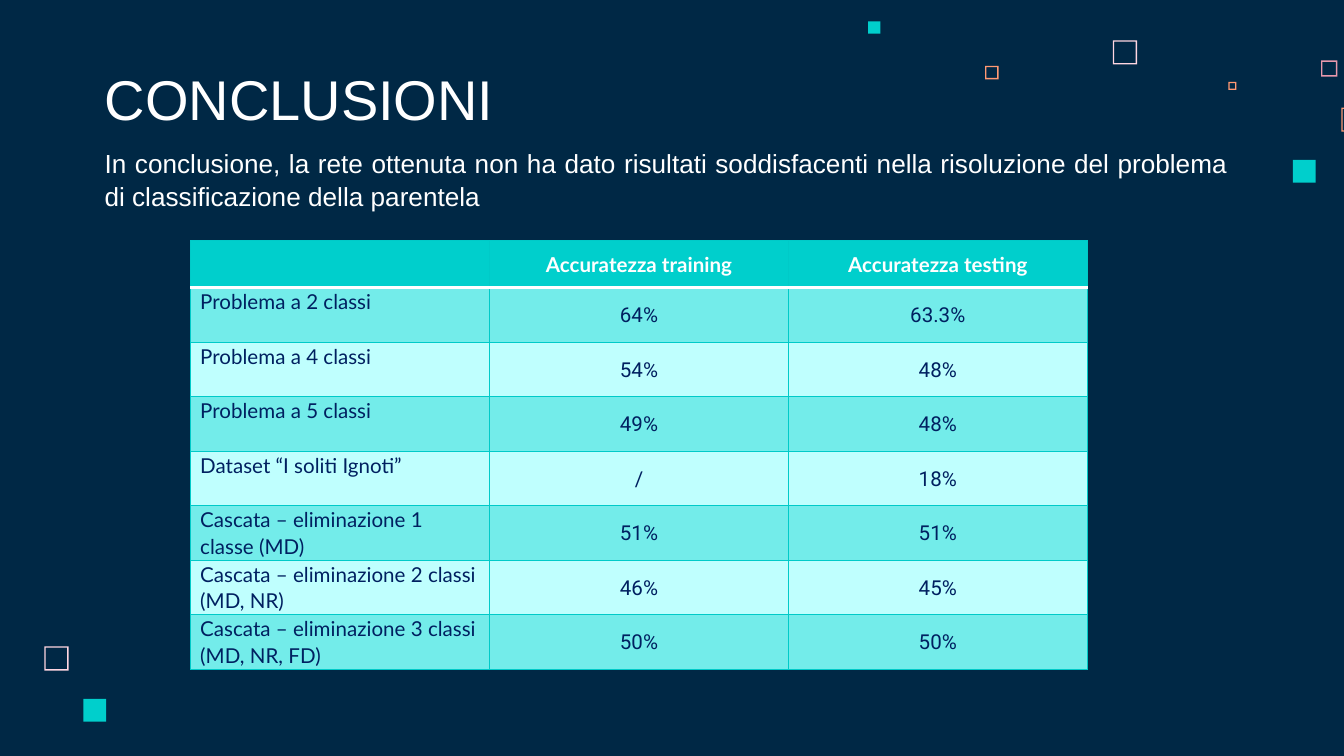
from lxml import etree
from pptx import Presentation
from pptx.dml.color import RGBColor
from pptx.enum import shapes, text
from pptx.oxml import ns
from pptx.util import Inches, Pt

NAVY = RGBColor(0x00, 0x28, 0x45)
INK = RGBColor(0x00, 0x20, 0x60)
WHITE = RGBColor(0xFF, 0xFF, 0xFF)
TEAL = RGBColor(0x00, 0xCF, 0xCC)
BORDER = RGBColor(0x00, 0xCA, 0xC8)
DARK_BAND = RGBColor(0x73, 0xEC, 0xEA)
LIGHT_BAND = RGBColor(0xBF, 0xFF, 0xFE)
PINK = RGBColor(0xFF, 0xD6, 0xE1)
ROSE = RGBColor(0xE8, 0x98, 0xAC)
ORANGE = RGBColor(0xFF, 0x99, 0x73)

# Content
TITLE = "CONCLUSIONI"
SUMMARY = ("In conclusione, la rete ottenuta non ha dato risultati soddisfacenti "
           "nella risoluzione del problema di classificazione della parentela")
RESULTS = [
    ("", "Accuratezza training", "Accuratezza testing"),
    ("Problema a 2 classi", "64%", "63.3%"),
    ("Problema a 4 classi", "54%", "48%"),
    ("Problema a 5 classi", "49%", "48%"),
    ("Dataset “I soliti Ignoti”", "/", "18%"),
    ("Cascata – eliminazione 1 classe (MD)", "51%", "51%"),
    ("Cascata – eliminazione 2 classi (MD, NR)", "46%", "45%"),
    ("Cascata – eliminazione 3 classi (MD, NR, FD)", "50%", "50%"),
]
# Decorative squares: left, top, side, wall thickness (0 = solid), colour
SQUARES = [
    (8.28, 0.30, 0.18, 0.01, PINK),
    (9.83, 0.45, 0.12, 0.01, ROSE),
    (9.14, 0.61, 0.06, 0.01, ORANGE),
    (9.98, 0.80, 0.18, 0.01, ORANGE),
    (9.62, 1.19, 0.17, 0, TEAL),
    (7.33, 0.49, 0.10, 0.01, ORANGE),
    (6.46, 0.16, 0.09, 0, TEAL),
    (0.33, 4.81, 0.18, 0.01, PINK),
    (0.62, 5.20, 0.17, 0, TEAL),
]
TABLE_WIDTH, TABLE_HEIGHT, HEADER_HEIGHT = 6.67, 3.19, 0.35


def style(paragraph, font, size, color, bold=False):
    paragraph.font.name = font
    paragraph.font.size = Pt(size)
    paragraph.font.color.rgb = color
    paragraph.font.bold = bold


def space(paragraph):
    paragraph.line_spacing = 1.07
    paragraph.space_after = Pt(8)


def add_border(cell, side, color, width):
    line = etree.SubElement(cell._tc.get_or_add_tcPr(), ns.qn(f"a:ln{side}"), w=str(Pt(width)))
    fill = etree.SubElement(line, ns.qn("a:solidFill"))
    etree.SubElement(fill, ns.qn("a:srgbClr"), val=str(color))


def set_insets(frame, inset):
    frame.margin_left = frame.margin_right = Inches(inset)
    frame.margin_top = frame.margin_bottom = Inches(inset)
    frame.word_wrap = True


# Widescreen 16:9 slide
prs = Presentation()
prs.slide_width, prs.slide_height = Inches(10), Inches(10 * 9 / 16)
slide = prs.slides.add_slide(prs.slide_layouts[5])
slide.background.fill.solid()
slide.background.fill.fore_color.rgb = NAVY

# Decorative squares
for left, top, side, wall, color in SQUARES:
    kind = shapes.MSO_SHAPE.FRAME if wall else shapes.MSO_SHAPE.RECTANGLE
    square = slide.shapes.add_shape(kind, Inches(left), Inches(top), Inches(side), Inches(side))
    if wall:
        square.adjustments[0] = wall / side
    square.shadow.inherit = False
    square.fill.solid()
    square.fill.fore_color.rgb = color
    square.line.fill.background()

# Title
title = slide.shapes.title
title.left, title.top, title.width, title.height = map(Inches, (0.68, 0.45, 5.17, 0.63))
title.text_frame.text = TITLE
set_insets(title.text_frame, 0.1)
title.text_frame.auto_size = text.MSO_AUTO_SIZE.NONE
title.text_frame.vertical_anchor = text.MSO_ANCHOR.BOTTOM
heading = title.text_frame.paragraphs[0]
heading.alignment = text.PP_ALIGN.LEFT
style(heading, "Arial", 30, WHITE)

# Summary
summary = slide.shapes.add_textbox(*map(Inches, (0.68, 0.98, 8.56, 0.63))).text_frame
summary.text = SUMMARY
set_insets(summary, 0.1)
sentence = summary.paragraphs[0]
sentence.alignment = text.PP_ALIGN.JUSTIFY
space(sentence)
style(sentence, "Arial", 14, WHITE)

# Results table
rows, columns = len(RESULTS), len(RESULTS[0])
row_height = (TABLE_HEIGHT - HEADER_HEIGHT) / (rows - 1)
table = slide.shapes.add_table(
    rows, columns, Inches(1.42), Inches(1.79),
    Inches(TABLE_WIDTH), Inches(TABLE_HEIGHT)).table
for column in table.columns:
    column.width = Inches(TABLE_WIDTH / columns)

for r, values in enumerate(RESULTS):
    header = r == 0
    table.rows[r].height = Inches(HEADER_HEIGHT if header else row_height)
    for c, value in enumerate(values):
        cell = table.cell(r, c)
        cell.text = value
        cell.margin_left = cell.margin_right = Inches(0.07)
        cell.margin_top = cell.margin_bottom = 0
        label = c == 0 and not header
        cell.vertical_anchor = text.MSO_ANCHOR.TOP if label else text.MSO_ANCHOR.MIDDLE

        entry = cell.text_frame.paragraphs[0]
        entry.alignment = text.PP_ALIGN.LEFT if label else text.PP_ALIGN.CENTER
        space(entry)
        style(entry, "Lato" if header or label else "Roboto", 11,
              WHITE if header else INK, header)

        # A white rule divides the header from the body
        for side in "LRTB":
            rule = (r, side) in ((0, "B"), (1, "T"))
            add_border(cell, side, WHITE if rule else BORDER, 2 if rule else 0.75)
        cell.fill.solid()
        cell.fill.fore_color.rgb = TEAL if header else DARK_BAND if r % 2 else LIGHT_BAND

prs.save("out.pptx")
